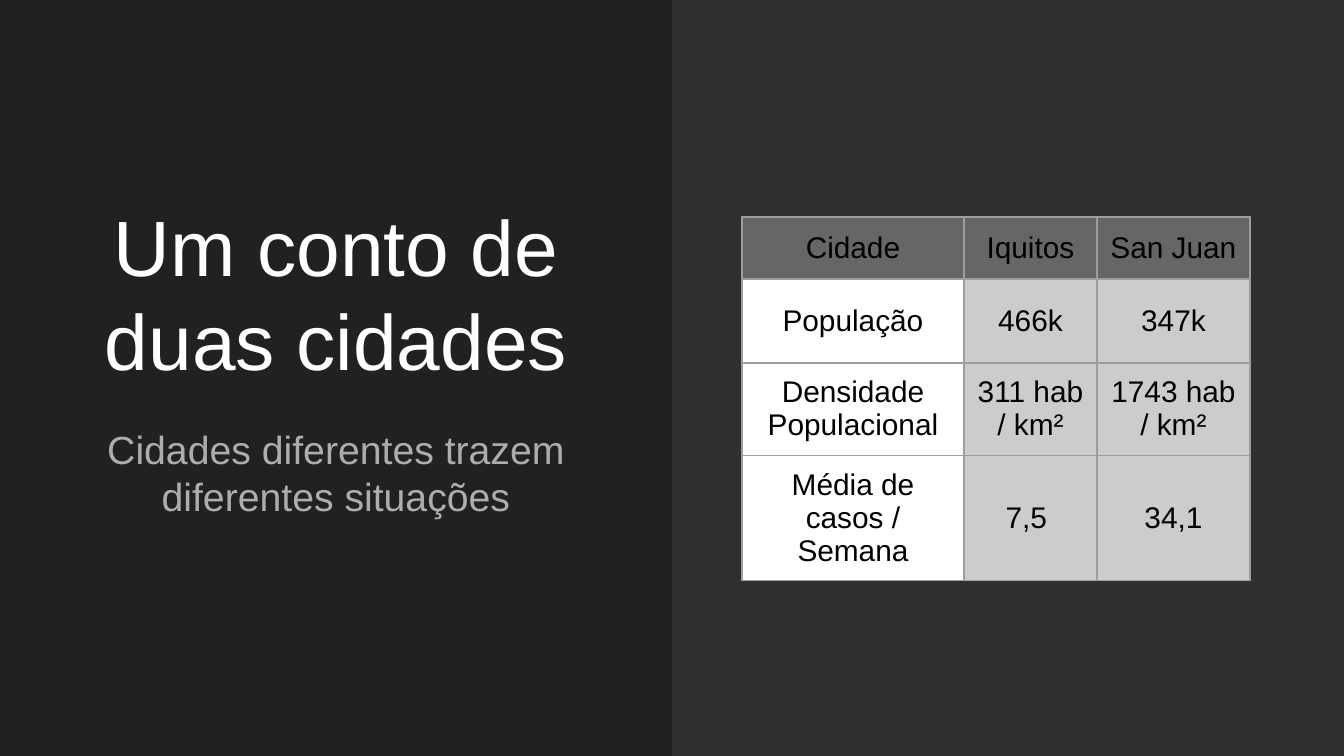
import pptx
import pptx.dml.color
import pptx.enum.shapes
import pptx.enum.text
import pptx.oxml
import pptx.oxml.ns
import pptx.util

SCALE = 914400 / 134.4
SLIDE_SIZE = (1344, 756)
INSET = 13
FONT = "Arial"
TITLE = "Um conto de duas cidades"
SUBTITLE = "Cidades diferentes trazem diferentes situações"
CITY_ROWS = [
    ("Cidade", "Iquitos", "San Juan"),
    ("População", "466k", "347k"),
    ("Densidade Populacional", "311 hab / km²", "1743 hab / km²"),
    ("Média de casos / Semana", "7,5 ", "34,1"),
]
COLUMN_WIDTHS = (222, 133, 153)
ROW_HEIGHTS = (62, 84, 84, 84)
TABLE_ORIGIN = (742, 217)
HEADER_FILL, LABEL_FILL, VALUE_FILL = "666666", "FFFFFF", "CCCCCC"
BORDER = "9E9E9E"


def px(length):
    return pptx.util.Emu(round(length * SCALE))


def paint(target, color):
    target.solid()
    target.fore_color.rgb = pptx.dml.color.RGBColor.from_string(color)


def write(text_frame, text, size, color):
    text_frame.text = text
    paragraph = text_frame.paragraphs[0]
    paragraph.alignment = pptx.enum.text.PP_ALIGN.CENTER
    paragraph.space_before = pptx.util.Pt(0)
    font = paragraph.runs[0].font
    font.name = FONT
    font.size = pptx.util.Pt(size)
    font.bold = False
    paint(font.fill, color)


def set_insets(target):
    for side in ("left", "top", "right", "bottom"):
        setattr(target, f"margin_{side}", px(INSET))


def fill_placeholder(shape, box, text, size, color, anchor):
    shape.left, shape.top, shape.width, shape.height = map(px, box)
    text_frame = shape.text_frame
    write(text_frame, text, size, color)
    set_insets(text_frame)
    text_frame.word_wrap = True
    text_frame.auto_size = pptx.enum.text.MSO_AUTO_SIZE.NONE
    text_frame.vertical_anchor = anchor


def add_borders(cell):
    properties = cell._tc.get_or_add_tcPr()
    for index, side in enumerate(("lnL", "lnR", "lnT", "lnB")):
        line = pptx.oxml.parse_xml(
            f'<a:{side} {pptx.oxml.ns.nsdecls("a")} w="{pptx.util.Pt(0.75)}">'
            f'<a:solidFill><a:srgbClr val="{BORDER}"/></a:solidFill></a:{side}>'
        )
        properties.insert(index, line)


def add_city_table(slide):
    shape = slide.shapes.add_table(
        len(CITY_ROWS), len(COLUMN_WIDTHS), *map(px, TABLE_ORIGIN),
        px(sum(COLUMN_WIDTHS)), px(sum(ROW_HEIGHTS)))
    table = shape.table
    for column, width in zip(table.columns, COLUMN_WIDTHS):
        column.width = px(width)
    for row, height in zip(table.rows, ROW_HEIGHTS):
        row.height = px(height)
    for row_index, texts in enumerate(CITY_ROWS):
        for column_index, text in enumerate(texts):
            cell = table.cell(row_index, column_index)
            write(cell.text_frame, text, 16, "000000")
            set_insets(cell)
            cell.vertical_anchor = pptx.enum.text.MSO_ANCHOR.MIDDLE
            body_fill = VALUE_FILL if column_index else LABEL_FILL
            paint(cell.fill, body_fill if row_index else HEADER_FILL)
            add_borders(cell)


def main():
    presentation = pptx.Presentation()
    presentation.slide_width, presentation.slide_height = map(px, SLIDE_SIZE)
    slide = presentation.slides.add_slide(presentation.slide_layouts[0])
    paint(slide.background.fill, "212121")

    panel = slide.shapes.add_shape(
        pptx.enum.shapes.MSO_SHAPE.RECTANGLE, *map(px, (672, 0, 672, 756)))
    panel.shadow.inherit = False
    paint(panel.fill, "303030")
    panel.line.fill.background()

    fill_placeholder(slide.shapes.title, (39, 181, 594, 218), TITLE, 42,
                     "FFFFFF", pptx.enum.text.MSO_ANCHOR.BOTTOM)
    fill_placeholder(slide.placeholders[1], (39, 412, 594, 182), SUBTITLE, 21,
                     "ADADAD", pptx.enum.text.MSO_ANCHOR.TOP)
    add_city_table(slide)
    presentation.save("out.pptx")


if __name__ == "__main__":
    main()
